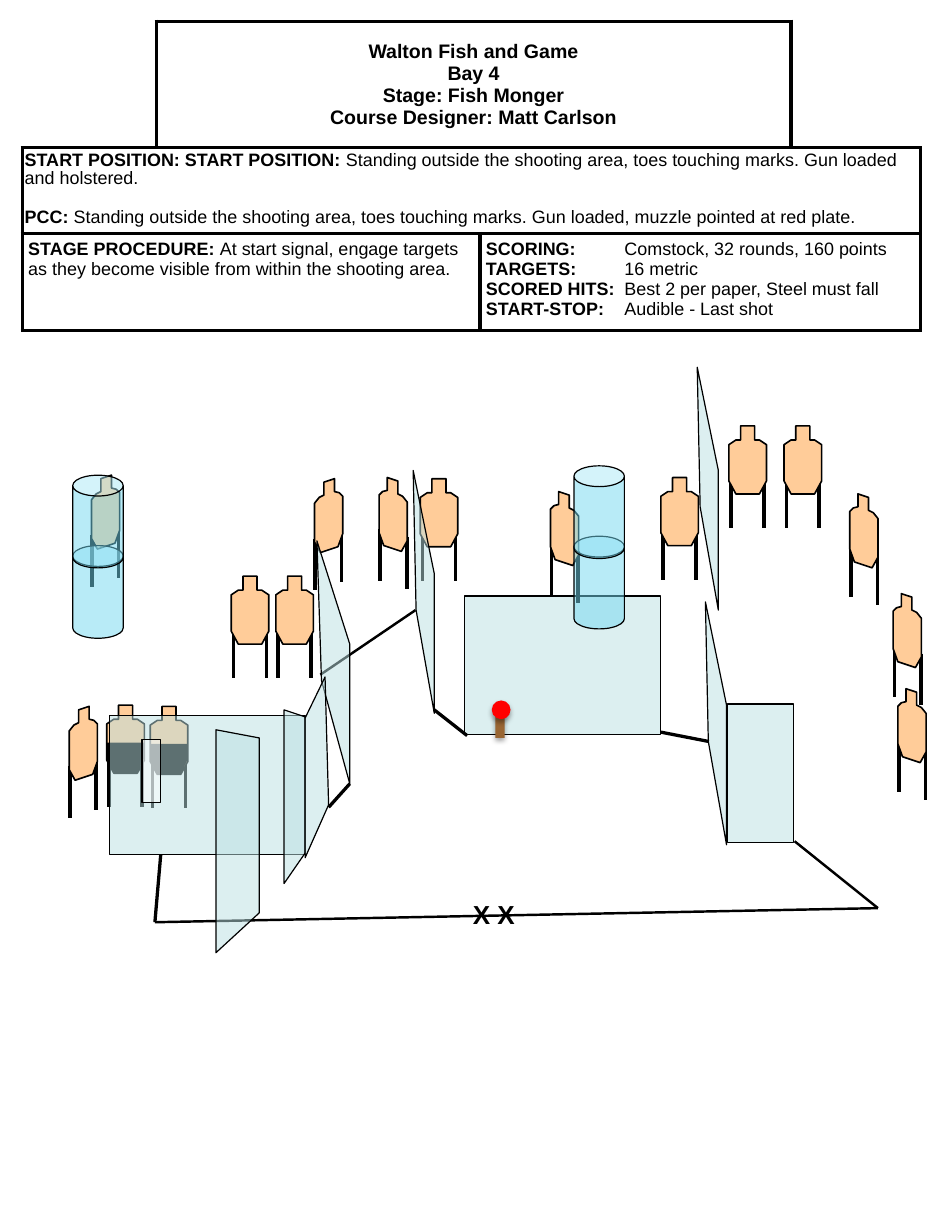
from dataclasses import dataclass

from lxml import etree
from pptx import Presentation
from pptx import util as u
from pptx.dml.color import RGBColor
from pptx.enum import shapes, text
from pptx.oxml import ns

UNIT = u.Inches(0.01)
COLUMNS, ROWS = 800, 1050
FONT = "Arial"
COLORS = {"ink": "000000", "paper": "FFFFFF", "target": "FFCC99", "wall": "BBE0E3",
          "barrel": "73D9F1", "post": "996633", "plate": "FF0000"}

FRONT = [(10, 0), (22, 0), (22, 12), (26, 12), (32, 16), (32, 47), (26, 58),
         (6, 58), (0, 47), (0, 16), (6, 12), (10, 12)]
ANGLED = [(8, 3), (17, 0), (17, 11), (21, 12), (24, 15), (24, 47), (20, 58),
          (5, 63), (0, 54), (0, 21), (4, 16), (8, 14)]
HARD_COVER = [(0, 32), (32, 32), (32, 45), (26, 58), (6, 58), (0, 46)]
FRONT_LEGS = [(2, 43), (30, 43)]
ANGLED_LEGS = [(0.5, 51), (23, 44)]
ANGLED_WIDTH, LEG = 24, 44


@dataclass
class Target:
    left: float
    top: float
    view: str = "front"
    covered: bool = False


@dataclass
class Line:
    start: tuple
    end: tuple
    weight: float = 2


@dataclass
class Panel:
    points: list
    color: str = "wall"
    alpha: int = 50
    weight: float = 0.75


@dataclass
class Solid:
    preset: int
    left: float
    top: float
    width: float
    height: float
    color: str = "wall"
    alpha: int = 50
    weight: float = 0.75
    shadow: bool = False


@dataclass
class Barrel:
    left: float
    top: float


def side_wall(left: float, top: float, width: float = 18) -> Panel:
    return Panel([(left + width, top + 207), (left + width, top + 88),
                  (left, top), (left + width * 0.14, top + 119)])


def grid(count: float) -> u.Emu:
    return u.Emu(round(count * UNIT))


def rgb(name: str) -> RGBColor:
    return RGBColor.from_string(COLORS[name])


def add_child(parent, tag: str, **attributes):
    return etree.SubElement(parent, ns.qn(tag), attributes)


def paint(shape, color: str, alpha: int, weight: float) -> None:
    shape.shadow.inherit = False
    shape.fill.solid()
    shape.fill.fore_color.rgb = rgb(color)
    if alpha < 100:
        fill = shape.fill._xPr.find(ns.qn("a:solidFill"))
        add_child(fill[0], "a:alpha", val=str(alpha * 1000))
    if weight:
        shape.line.color.rgb = rgb("ink")
        shape.line.width = u.Pt(weight)
    else:
        shape.line.fill.background()


def draw_line(canvas, line: Line) -> None:
    ends = [grid(value) for value in (*line.start, *line.end)]
    connector = canvas.add_connector(shapes.MSO_CONNECTOR.STRAIGHT, *ends)
    connector.line.color.rgb = rgb("ink")
    connector.line.width = u.Pt(line.weight)
    add_child(connector._element.spPr, "a:effectLst")


def draw_panel(canvas, panel: Panel) -> None:
    points = [(grid(x), grid(y)) for x, y in panel.points]
    builder = canvas.build_freeform(*points[0], scale=1.0)
    builder.add_line_segments(points[1:], close=True)
    paint(builder.convert_to_shape(), panel.color, panel.alpha, panel.weight)


def draw_solid(canvas, solid: Solid) -> None:
    place = [grid(value) for value in (solid.left, solid.top, solid.width, solid.height)]
    shape = canvas.add_shape(solid.preset, *place)
    paint(shape, solid.color, solid.alpha, solid.weight)
    if solid.preset == shapes.MSO_SHAPE.CAN:
        shape.adjustments[0] = 0.413
    if solid.shadow:
        effects = shape._element.spPr.find(ns.qn("a:effectLst"))
        outer = add_child(effects, "a:outerShdw", blurRad=str(u.Pt(3.1)),
                          dist=str(u.Pt(1.8)), dir="5400000", rotWithShape="0")
        tint = add_child(outer, "a:srgbClr", val=COLORS["ink"])
        add_child(tint, "a:alpha", val="35000")


def draw_barrel(canvas, barrel: Barrel) -> None:
    group = canvas.add_group_shape().shapes
    for drop in (60, 0):
        draw_solid(group, Solid(shapes.MSO_SHAPE.CAN, barrel.left, barrel.top + drop,
                                43, 79, "barrel"))


def draw_target(canvas, target: Target) -> None:
    group = canvas.add_group_shape().shapes
    outline, legs = (FRONT, FRONT_LEGS) if target.view == "front" else (ANGLED, ANGLED_LEGS)

    def place(points: list) -> list:
        flip = target.view == "right"
        return [(target.left + (ANGLED_WIDTH - x if flip else x), target.top + y)
                for x, y in points]

    for x, y in place(legs):
        draw_line(group, Line((x, y), (x, y + LEG), 2.25))
    draw_panel(group, Panel(place(outline), "target", 100, 1))
    if target.covered:
        draw_panel(group, Panel(place(HARD_COVER), "ink", 100, 0))


def write(para, pieces: list, size: float) -> None:
    for words, bold in pieces:
        span = para.add_run()
        span.text = words
        span.font.name, span.font.size, span.font.bold = FONT, u.Pt(size), bold
        span.font.color.rgb = rgb("ink")


def set_borders(cell, sides: str) -> None:
    properties = cell._tc.get_or_add_tcPr()
    for index, side in enumerate("LRTB"):
        edge = etree.Element(ns.qn("a:ln" + side), w=str(u.Pt(2.25)))
        if side in sides:
            add_child(add_child(edge, "a:solidFill"), "a:srgbClr", val=COLORS["ink"])
        else:
            add_child(edge, "a:noFill")
        properties.insert(index, edge)


def draw_briefing(canvas) -> None:
    widths, heights = (114, 276, 265, 110), (108, 73, 83)
    frame = canvas.add_table(3, 4, grid(19), grid(18), grid(sum(widths)), grid(sum(heights)))
    table = frame.table
    table.first_row = table.horz_banding = False
    for column, width in zip(table.columns, widths):
        column.width = grid(width)
    for row, height in zip(table.rows, heights):
        row.height = grid(height)
    open_corners = {(0, 0): "RB", (0, 3): "LB"}
    for row in range(3):
        for column in range(4):
            cell = table.cell(row, column)
            cell.fill.solid()
            cell.fill.fore_color.rgb = rgb("paper")
            set_borders(cell, open_corners.get((row, column), "LRTB"))
            side, end = (2, 4) if row == 1 else (5, 5)
            cell.margin_left = cell.margin_right = grid(side)
            cell.margin_top = cell.margin_bottom = grid(end)
    for first, last in (((0, 1), (0, 2)), ((1, 0), (1, 3)), ((2, 0), (2, 1)), ((2, 2), (2, 3))):
        table.cell(*first).merge(table.cell(*last))

    heading = table.cell(0, 1)
    heading.vertical_anchor = text.MSO_ANCHOR.MIDDLE
    para = heading.text_frame.paragraphs[0]
    para.alignment = text.PP_ALIGN.CENTER
    lines = ["Walton Fish and Game", "Bay 4", "Stage: Fish Monger", "Course Designer: Matt Carlson"]
    for index, line in enumerate(lines):
        if index:
            para.add_line_break()
        write(para, [(line, True)], 12)

    start = table.cell(1, 0).text_frame
    starts = [("START POSITION: START POSITION:", " Standing outside the shooting area, toes touching "
               "marks. Gun loaded and holstered."),
              ("PCC: ", "Standing outside the shooting area, toes touching marks. Gun loaded, "
               "muzzle pointed at red plate.")]
    for index, (label, words) in enumerate(starts):
        para = start.add_paragraph() if index else start.paragraphs[0]
        para.line_spacing = 0.9
        if index:
            para.space_before = u.Pt(13)
        write(para, [(label, True), (words, False)], 11)

    write(table.cell(2, 0).text_frame.paragraphs[0],
          [("STAGE PROCEDURE: ", True),
           ("At start signal, engage targets as they become visible from within the "
            "shooting area.", False)], 11)

    scoring = table.cell(2, 2).text_frame
    facts = {"SCORING:": "Comstock, 32 rounds, 160 points", "TARGETS:": "16 metric",
             "SCORED HITS:": "Best 2 per paper, Steel must fall", "START-STOP:": "Audible - Last shot"}
    for index, (label, words) in enumerate(facts.items()):
        para = scoring.add_paragraph() if index else scoring.paragraphs[0]
        tabs = add_child(para._p.get_or_add_pPr(), "a:tabLst")
        add_child(tabs, "a:tab", pos=str(grid(118)), algn="l")
        write(para, [(label, True), ("\t" + words, False)], 11)


def draw_marks(canvas) -> None:
    box = canvas.add_textbox(grid(393), grid(761), grid(58), grid(37))
    box.text_frame.word_wrap = True
    write(box.text_frame.paragraphs[0], [("X X", True)], 16)


RECT, OVAL = shapes.MSO_SHAPE.RECTANGLE, shapes.MSO_SHAPE.OVAL
BACK = [Target(358, 408), Target(91, 601, covered=True), Target(128, 602, covered=True)]
BAY = [
    Line((132, 786), (137, 728)), Solid(RECT, 93, 610, 167, 118),
    Solid(RECT, 121, 630, 16, 54, "paper"),
    Panel([(242, 753), (242, 605), (260, 611), (260, 727)]),
    Target(235, 491), Target(197, 491), side_wall(352, 401),
    Target(78, 405, "left"), Target(268, 408, "left"), Solid(RECT, 396, 508, 167, 118),
    Target(469, 419, "right"), Barrel(489, 397), Line((273, 575), (354, 520), 1.5),
    Target(323, 407, "right"), Barrel(62, 405), side_wall(601, 513), Target(563, 407),
    Solid(RECT, 620, 600, 56, 118), Target(621, 363), Target(765, 587, "right"),
    Target(761, 506, "right"), Target(724, 421, "right"), side_wall(594, 313),
    Line((677, 717), (748, 774), 1.5), side_wall(270, 461, 28),
    Line((280, 688), (298, 668)), Line((398, 627), (370, 605)), Line((604, 632), (563, 624)),
    Panel([(260, 731), (260, 612), (277, 577), (280, 686)]),
    Panel([(184, 812), (184, 622), (221, 629), (221, 778)]),
    Target(59, 602, "left"), Target(668, 363),
    Solid(RECT, 422, 607, 8, 22, "post", 100, 0, True),
    Solid(OVAL, 419, 597, 16, 16, "plate", 100, 0, True),
]
DRAW = {Target: draw_target, Line: draw_line, Panel: draw_panel, Solid: draw_solid,
        Barrel: draw_barrel}


def main() -> None:
    deck = Presentation()
    deck.slide_width, deck.slide_height = grid(COLUMNS), grid(ROWS)
    canvas = deck.slides.add_slide(deck.slide_layouts[6]).shapes
    for item in BACK:
        DRAW[type(item)](canvas, item)
    draw_briefing(canvas)
    draw_line(canvas, Line((132, 786), (748, 774), 1.5))
    draw_marks(canvas)
    for item in BAY:
        DRAW[type(item)](canvas, item)
    deck.save("out.pptx")


if __name__ == "__main__":
    main()
